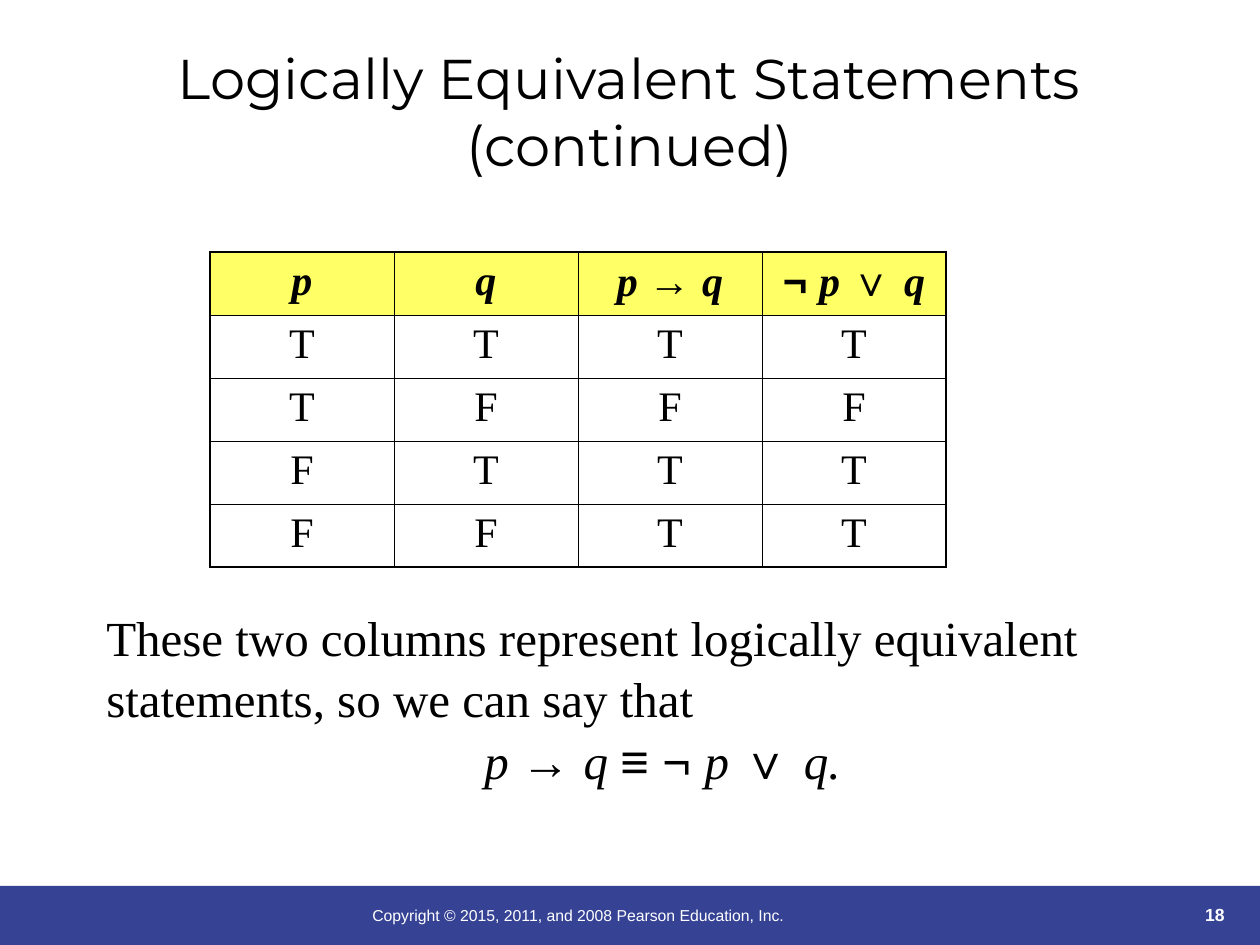
import pptx
import pptx.util
import pptx.dml.color
import pptx.enum.shapes
import pptx.enum.text
import pptx.oxml
import pptx.oxml.ns

EMU_PER_PX = 914400 / 126
COLORS = {"black": "000000", "white": "FFFFFF", "band": "364395", "header": "FFFF66"}
ALIGN = pptx.enum.text.PP_ALIGN
ANCHOR = pptx.enum.text.MSO_ANCHOR
SERIF, SANS, TITLE = "Times New Roman", "Arial", "Montserrat"
THIN, THICK = 0.45, 1.08


def px(n):
    return pptx.util.Emu(round(n * EMU_PER_PX))


def rgb(name):
    return pptx.dml.color.RGBColor.from_string(COLORS[name])


class Deck:
    def __init__(self, width, height):
        self.prs = pptx.Presentation()
        self.prs.slide_width, self.prs.slide_height = px(width), px(height)
        self.slide = self.prs.slides.add_slide(self.prs.slide_layouts[5])

    def style(self, p, size, font=SERIF, color="black", bold=False, italic=False, align=ALIGN.LEFT):
        p.alignment = align
        for r in p.runs:
            r.font.name, r.font.size = font, pptx.util.Pt(size)
            r.font.bold, r.font.italic = bold, italic
            r.font.color.rgb = rgb(color)

    def formula(self, p, parts, size, bold=False, align=ALIGN.LEFT):
        """Variables are set in italic serif, operators in upright sans."""
        for part in parts:
            p.add_run().text = part
        self.style(p, size, bold=bold, align=align)
        for r in p.runs:
            variable = r.text.strip(" .").isalpha()
            r.font.name = SERIF if variable else SANS
            r.font.italic = variable

    def title(self, text, x, y, w, h):
        sp = self.slide.shapes.title
        sp.left, sp.top, sp.width, sp.height = px(x), px(y), px(w), px(h)
        tf = sp.text_frame
        tf.text = text
        tf.auto_size = pptx.enum.text.MSO_AUTO_SIZE.NONE
        tf.vertical_anchor = ANCHOR.MIDDLE
        self.style(tf.paragraphs[0], 32, TITLE, align=ALIGN.CENTER)

    def band(self, x, y, w, h):
        kind = pptx.enum.shapes.MSO_SHAPE.RECTANGLE
        sp = self.slide.shapes.add_shape(kind, px(x), px(y), px(w), px(h))
        sp.shadow.inherit = False
        sp.fill.solid()
        sp.fill.fore_color.rgb = rgb("band")
        sp.line.fill.background()

    def text(self, text, x, y, w, h, size, anchor=ANCHOR.TOP, **style):
        tf = self.slide.shapes.add_textbox(px(x), px(y), px(w), px(h)).text_frame
        tf.word_wrap = True
        tf.vertical_anchor = anchor
        tf.text = text
        self.style(tf.paragraphs[0], size, **style)
        return tf

    def borders(self, cell, widths):
        tc_pr = cell._tc.get_or_add_tcPr()
        for i, (side, width) in enumerate(widths.items()):
            ln = pptx.oxml.parse_xml(
                f'<a:ln{side} {pptx.oxml.ns.nsdecls("a")} w="{pptx.util.Pt(width)}">'
                f'<a:solidFill><a:srgbClr val="{COLORS["black"]}"/></a:solidFill></a:ln{side}>')
            tc_pr.insert(i, ln)

    def truth_table(self, header, rows, x, y, col_w, row_h):
        n_rows, n_cols = len(rows) + 1, len(header)
        table = self.slide.shapes.add_table(
            n_rows, n_cols, px(x), px(y), px(col_w * n_cols), px(row_h * n_rows)).table
        table.horz_banding = table.first_row = False
        for col in table.columns:
            col.width = px(col_w)
        for i, parts in enumerate([header] + rows):
            table.rows[i].height = px(row_h)
            for j, content in enumerate(parts):
                cell = table.cell(i, j)
                p = cell.text_frame.paragraphs[0]
                if i == 0:
                    cell.fill.solid()
                    cell.fill.fore_color.rgb = rgb("header")
                    self.formula(p, content, 24, bold=True, align=ALIGN.CENTER)
                else:
                    cell.fill.background()
                    p.text = content
                    self.style(p, 24, align=ALIGN.CENTER)
                self.borders(cell, {
                    "L": THICK if j == 0 else THIN,
                    "R": THICK if j == n_cols - 1 else THIN,
                    "T": THICK if i == 0 else THIN,
                    "B": THICK if i == n_rows - 1 else THIN})


def main():
    deck = Deck(1260, 945)

    # Footer
    deck.band(0, 886, 1260, 63)
    deck.text("18", 1121, 868, 116, 63, 10, anchor=ANCHOR.BOTTOM,
              font=SANS, color="white", bold=True, align=ALIGN.RIGHT)
    deck.text("Copyright © 2015, 2011, and 2008 Pearson Education, Inc.",
              360, 900, 620, 63, 9, font=SANS, color="white")

    # Title
    deck.title("Logically Equivalent Statements\v(continued)", 94, 32, 1071, 158)

    # Truth table
    implication = ["p ", "→ ", "q"]
    disjunction = ["¬ ", "p ", "∨ ", "q"]
    deck.truth_table([["p"], ["q"], implication, disjunction],
                     ["TTTT", "TFFF", "FTTT", "FFTT"], 210, 252, 184, 63)

    # Conclusion, with the equivalence indented below
    tf = deck.text("These two columns represent logically equivalent statements, so we can say that",
                   94, 598, 1081, 189, 28)
    p = tf.add_paragraph()
    p._p.get_or_add_pPr().set("marL", str(px(378)))
    deck.formula(p, ["p ", "→ ", "q ", "≡ ¬ ", "p ", "∨ ", "q."], 28)
    for p in tf.paragraphs:
        p.line_spacing = 1.05

    deck.prs.save("out.pptx")


if __name__ == "__main__":
    main()
